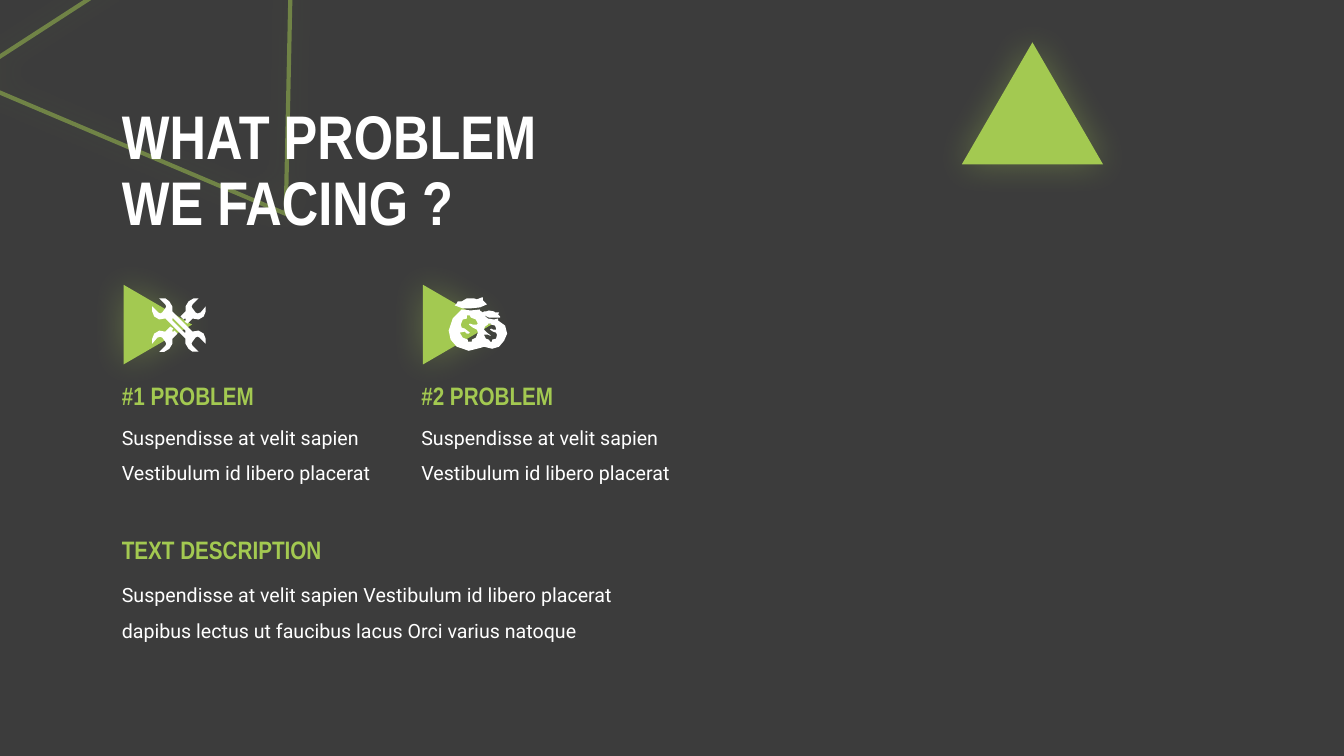
from lxml import etree
from pptx import Presentation
from pptx.dml.color import RGBColor
from pptx.enum.shapes import MSO_SHAPE as Geo
from pptx.enum.text import MSO_ANCHOR as Anchor, MSO_AUTO_SIZE as Fit, PP_ALIGN as Align
from pptx.oxml import parse_xml
from pptx.oxml.ns import qn, nsdecls
from pptx.util import Pt

PX = 9144  # 100 px to the inch
GREEN, WHITE, DARK = "A3C951", "FFFFFF", "3C3C3C"
HEAD, BODY = "Arial Narrow", "Roboto"

# Icon outlines, in px from the top left corner of each icon
JAW = ("32,22 33,21 34,21 34,23 33,24 36,26 41,21 47,22 52,19 54,14 54,9 49,15 46,16 "
       "44,15 41,11 40,9 41,7 47,1 42,1 37,4 34,9 34,14 29,19")
HALF = ("21,14 21,9 18,4 14,1 8,1 14,7 15,9 14,11 11,15 9,16 7,15 1,9 1,14 3,19 "
        "8,22 14,21")
SLOT = "34,35 33,35 21,23 21,21 22,21 34,33"
BAGS = ("49,23 49,21 45,22 39,21 34,17 40,20 51,20 51,19 49,17 50,15 46,15 45,14 40,13 "
        "37,14 35,14 34,15 31,13 31,12 22,13 13,12 12,13 4,21 0,33 2,42 8,49 20,53 32,50 "
        "35,49 43,51 50,49 55,43 58,36 56,28")
COIN = ("23,42 23,44 19,44 19,42 14,40 11,35 16,34 18,36 20,36 21,35 16,31 13,30 12,27 "
        "14,22 18,21 18,18 21,18 22,20 27,22 29,26 28,27 24,27 21,26 20,27 24,30 28,32 "
        "29,35 27,40")
CENT = ("43,42 43,44 41,44 40,42 37,41 35,37 38,37 39,37 41,38 42,38 38,35 35,32 36,29 "
        "39,27 39,26 42,26 42,27 46,28 47,31 47,32 44,32 42,31 41,32 44,34 47,35 48,37 "
        "47,41")
KNOT = ("14,11 21,11 31,10 38,7 36,5 34,3 34,0 33,0 28,2 25,1 18,1 13,4 9,4 8,6 6,8")


def rgb(code):
    return RGBColor.from_string(code)


def px(*nums):
    return [n * PX for n in nums]


def dots(text):
    return [tuple(map(int, pair.split(","))) for pair in text.split()]


def turn(pts, size=55):
    """Rotate points by half a turn within a square icon."""
    return [(size - x, size - y) for x, y in pts]


def glow(shape):
    shape.shadow.inherit = False
    fx = shape._element.spPr.find(qn("a:effectLst"))
    fx.append(parse_xml(
        f'<a:outerShdw {nsdecls("a")} blurRad="{Pt(25)}" dist="0" dir="0" algn="ctr" '
        f'rotWithShape="0"><a:srgbClr val="{GREEN}"><a:alpha val="35000"/></a:srgbClr>'
        '</a:outerShdw>'))


def wedge(shapes, box, rot=0, hollow=False):
    shape = shapes.add_shape(Geo.ISOSCELES_TRIANGLE, *px(*box))
    shape.rotation = rot
    if hollow:
        shape.fill.background()
        shape.line.width = Pt(3)
        shape.line.color.rgb = rgb(GREEN)
        tint = shape.line._ln.find(".//" + qn("a:srgbClr"))
        etree.SubElement(tint, qn("a:alpha")).set("val", "50000")
    else:
        shape.fill.solid()
        shape.fill.fore_color.rgb = rgb(GREEN)
        shape.line.fill.background()
    glow(shape)


def icon(shapes, x, y, parts):
    """Draw each part, a list of closed outlines, as one white shape."""
    group = shapes.add_group_shape()
    for part in parts:
        first, *rest = part
        pen = group.shapes.build_freeform(*first[0], scale=PX)
        pen.add_line_segments(first[1:])
        for loop in rest:
            pen.move_to(*loop[0])
            pen.add_line_segments(loop[1:])
        shape = pen.convert_to_shape(*px(x, y))
        shape.fill.solid()
        shape.fill.fore_color.rgb = rgb(WHITE)
        shape.line.fill.background()
        shape.shadow.inherit = False


def style(frame, text, size, face, tone, bold, gap):
    frame.word_wrap = True
    para = frame.paragraphs[0]
    para.text = text
    para.alignment = Align.LEFT
    para.line_spacing = gap
    for run in para.runs:
        font = run.font
        font.size, font.name, font.bold = Pt(size), face, bold
        font.color.rgb = rgb(tone)


def head(shapes, box, text):
    label = shapes.add_textbox(*px(*box))
    style(label.text_frame, text, 18, HEAD, GREEN, True, 1.0)


def body(shapes, box, text):
    label = shapes.add_textbox(*px(*box))
    style(label.text_frame, text, 14, BODY, WHITE, False, 1.5)


def title(slide, box):
    shape = slide.shapes.title
    slide.shapes._spTree.append(shape._element)  # in front of the outline
    shape.left, shape.top, shape.width, shape.height = px(*box)
    frame = shape.text_frame
    frame.auto_size = Fit.NONE
    frame.vertical_anchor = Anchor.MIDDLE
    style(frame, "WHAT PROBLEM\nWE FACING ?", 44, HEAD, WHITE, True, 0.9)


def problem(shapes, x, y, num, shift, parts):
    wedge(shapes, (x + 6, y, 79, 68), 90)
    body(shapes, (x, y + 118, 269, 77),
         "Suspendisse at velit sapien Vestibulum id libero placerat")
    head(shapes, (x, y + 84, 221, 40), f"#{num} PROBLEM")
    icon(shapes, x + shift, y + 7, parts)


def about(shapes, x, y):
    body(shapes, (x, y + 37, 513, 77),
         "Suspendisse at velit sapien Vestibulum id libero placerat "
         "dapibus lectus ut faucibus lacus Orci varius natoque")
    head(shapes, (x, y, 245, 40), "TEXT DESCRIPTION")


def main():
    deck = Presentation()
    deck.slide_width, deck.slide_height = px(1333, 750)
    slide = deck.slides.add_slide(deck.slide_layouts[0])
    sub = slide.placeholders[1]._element
    sub.getparent().remove(sub)
    back = slide.background.fill
    back.solid()
    back.fore_color.rgb = rgb(DARK)

    shapes = slide.shapes
    wedge(shapes, (13, -50, 386, 285), 147.1, hollow=True)
    title(slide, (111, 92, 562, 158))
    wedge(shapes, (954, 42, 140, 121))

    jaw, half = dots(JAW), dots(HALF)
    tools = [[jaw], [turn(jaw)], [half + turn(half), dots(SLOT)]]
    money = [[dots(BAGS), dots(COIN), dots(CENT)], [dots(KNOT)]]
    for i, (shift, parts) in enumerate([(39, tools), (37, money)]):
        problem(shapes, 111 + 297 * i, 288, i + 1, shift, parts)
    about(shapes, 111, 525)
    deck.save("out.pptx")


if __name__ == "__main__":
    main()
